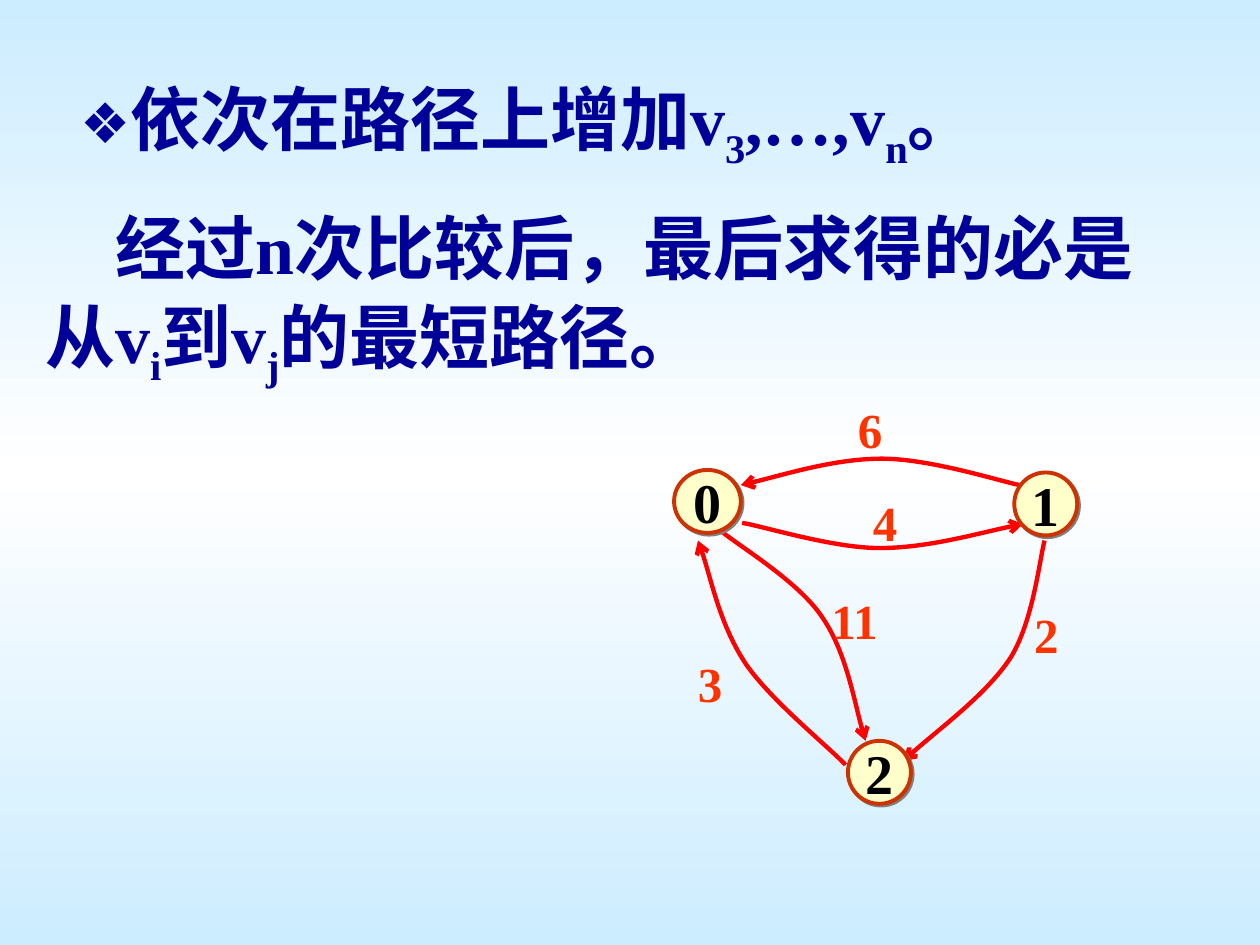
from copy import deepcopy

from pptx import Presentation
from pptx.dml.color import RGBColor
from pptx.enum.shapes import MSO_SHAPE
from pptx.enum.text import MSO_ANCHOR, MSO_AUTO_SIZE, PP_ALIGN
from pptx.oxml import parse_xml
from pptx.oxml.ns import nsdecls, qn
from pptx.util import Inches, Pt

FONT = "Times New Roman"
NAVY, RED, ORANGE = "000099", "FF0000", "FF3300"
BACKGROUND = [(0, "CCECFF"), (0.5, "FFFFFF"), (1, "CCECFF")]

STEP = [("依次在路径上增加v", 0), ("3", -25), (",…,v", 0), ("n", -25), ("。", 0)]
RESULT = [("经过n次比较后，最后求得的必是从v", 0), ("i", -25), ("到v", 0),
          ("j", -25), ("的最短路径。", 0)]

NODES = [("0", 5.35, 3.73, 0.53), ("1", 8.05, 3.75, 0.5), ("2", 6.73, 5.88, 0.5)]
WEIGHTS = [("2", 8.11, 4.75), ("11", 6.5, 4.64), ("3", 5.44, 5.14),
           ("6", 6.71, 3.12), ("4", 6.83, 3.86)]
EDGES = [
    [(5.89, 4.15), (6.07, 4.18), (6.61, 4.35), (6.98, 4.35),
     (7.36, 4.35), (7.88, 4.2), (8.12, 4.16)],
    [(6.71, 6.07), (6.58, 5.93), (6.12, 5.56), (5.92, 5.27),
     (5.72, 4.97), (5.62, 4.49), (5.54, 4.29)],
    [(8.09, 3.85), (7.91, 3.81), (7.37, 3.64), (7, 3.64),
     (6.63, 3.64), (6.11, 3.8), (5.88, 3.85)],
    [(8.29, 4.29), (8.25, 4.44), (8.2, 4.93), (8.02, 5.22),
     (7.83, 5.51), (7.34, 5.87), (7.17, 6.04)],
    [(5.73, 4.22), (5.86, 4.33), (6.33, 4.61), (6.52, 4.89),
     (6.71, 5.16), (6.8, 5.67), (6.87, 5.88)],
]


def rgb(color):
    return RGBColor.from_string(color)


def a_xml(tag, attrs="", inner=""):
    return parse_xml(f'<a:{tag} {nsdecls("a")} {attrs}>{inner}</a:{tag}>')


def place(sp, left, top, width, height):
    sp.left, sp.top, sp.width, sp.height = map(Inches, (left, top, width, height))


def write(sp, runs, size=40, color=NAVY, align=PP_ALIGN.LEFT, wrap=False,
          anchor=MSO_ANCHOR.TOP, grow=True, spacing=1.0, indent=0, bullet=None):
    tf = sp.text_frame
    tf.word_wrap, tf.vertical_anchor = wrap, anchor
    tf.auto_size = MSO_AUTO_SIZE.SHAPE_TO_FIT_TEXT if grow else MSO_AUTO_SIZE.NONE
    p = tf.paragraphs[0]
    p.alignment, p.line_spacing, p.space_before = align, spacing, Pt(0)
    pPr = p._p.get_or_add_pPr()
    pPr.set("marL", "0")
    pPr.set("indent", str(Inches(indent)))
    if bullet:
        pPr.append(a_xml("buClr", inner=f'<a:srgbClr val="{color}"/>'))
        pPr.append(a_xml("buSzPct", 'val="80000"'))
        pPr.append(a_xml("buChar", f'char="{bullet}"'))
    for text, baseline in runs:
        r = p.add_run()
        r.text = text
        r.font.name, r.font.size, r.font.bold = FONT, Pt(size), True
        r.font.color.rgb = rgb(color)
        if baseline:
            r._r.get_or_add_rPr().set("baseline", str(baseline * 1000))


def add_edge(s, points):
    start, *rest = [(Inches(x), Inches(y)) for x, y in points]
    builder = s.shapes.build_freeform(*start)
    builder.add_line_segments(rest, close=False)
    sp = builder.convert_to_shape()
    sp.shadow.inherit = False
    sp.fill.background()
    sp.line.color.rgb, sp.line.width = rgb(RED), Pt(2.5)
    sp.line._get_or_add_ln().append(a_xml("tailEnd", 'type="arrow"'))
    outline = sp._element.xpath(".//a:path")[0]
    segments = outline.findall(qn("a:lnTo"))
    for i in range(0, len(segments), 3):
        curve = a_xml("cubicBezTo")
        for segment in segments[i:i + 3]:
            curve.append(segment[0])
            outline.remove(segment)
        outline.append(curve)


def add_node(s, name, left, top, width):
    sp = s.shapes.add_shape(MSO_SHAPE.OVAL, 0, 0, 0, 0)
    place(sp, left, top, width, 0.5)
    sp.fill.solid()
    sp.fill.fore_color.rgb = rgb("FFFFCC")
    sp.line.color.rgb, sp.line.width = rgb("CC3300"), Pt(2.25)
    sp.shadow.inherit = False
    sp._element.spPr.find(qn("a:effectLst")).append(a_xml(
        "outerShdw", f'dist="{Pt(1.4)}" dir="2700000" algn="ctr" rotWithShape="0"',
        '<a:srgbClr val="808080"/>'))
    write(sp, [(name, 0)], size=32, color="000000", align=PP_ALIGN.CENTER,
          anchor=MSO_ANCHOR.MIDDLE, grow=False)


def add_text(s, runs, box, **style):
    sp = s.shapes.add_textbox(0, 0, 0, 0)
    place(sp, *box)
    write(sp, runs, **style)


def paint_background(s):
    fill = s.background.fill
    fill.gradient()
    fill.gradient_angle = 270
    stops = s._element.xpath(".//a:gsLst")[0]
    stops.append(deepcopy(stops[0]))
    for stop, (position, color) in zip(fill.gradient_stops, BACKGROUND):
        stop.position, stop.color.rgb = position, rgb(color)


def main():
    prs = Presentation()
    prs.slide_width, prs.slide_height = Inches(10), Inches(7.5)
    s = prs.slides.add_slide(prs.slide_layouts[1])
    paint_background(s)
    title, body = s.placeholders
    title._element.getparent().remove(title._element)
    place(body, 0.54, 0.4, 7.59, 1.01)
    write(body, STEP, spacing=1.2, bullet="❖")
    add_text(s, RESULT, (0.26, 1.54, 9.23, 1.6), wrap=True, spacing=1.05, indent=0.56)
    for points in EDGES:
        add_edge(s, points)
    for node in NODES:
        add_node(s, *node)
    for weight, left, top in WEIGHTS:
        add_text(s, [(weight, 0)], (left, top, 0.19 + 0.2 * len(weight), 0.57),
                 size=28, color=ORANGE)
    prs.save("out.pptx")


if __name__ == "__main__":
    main()
